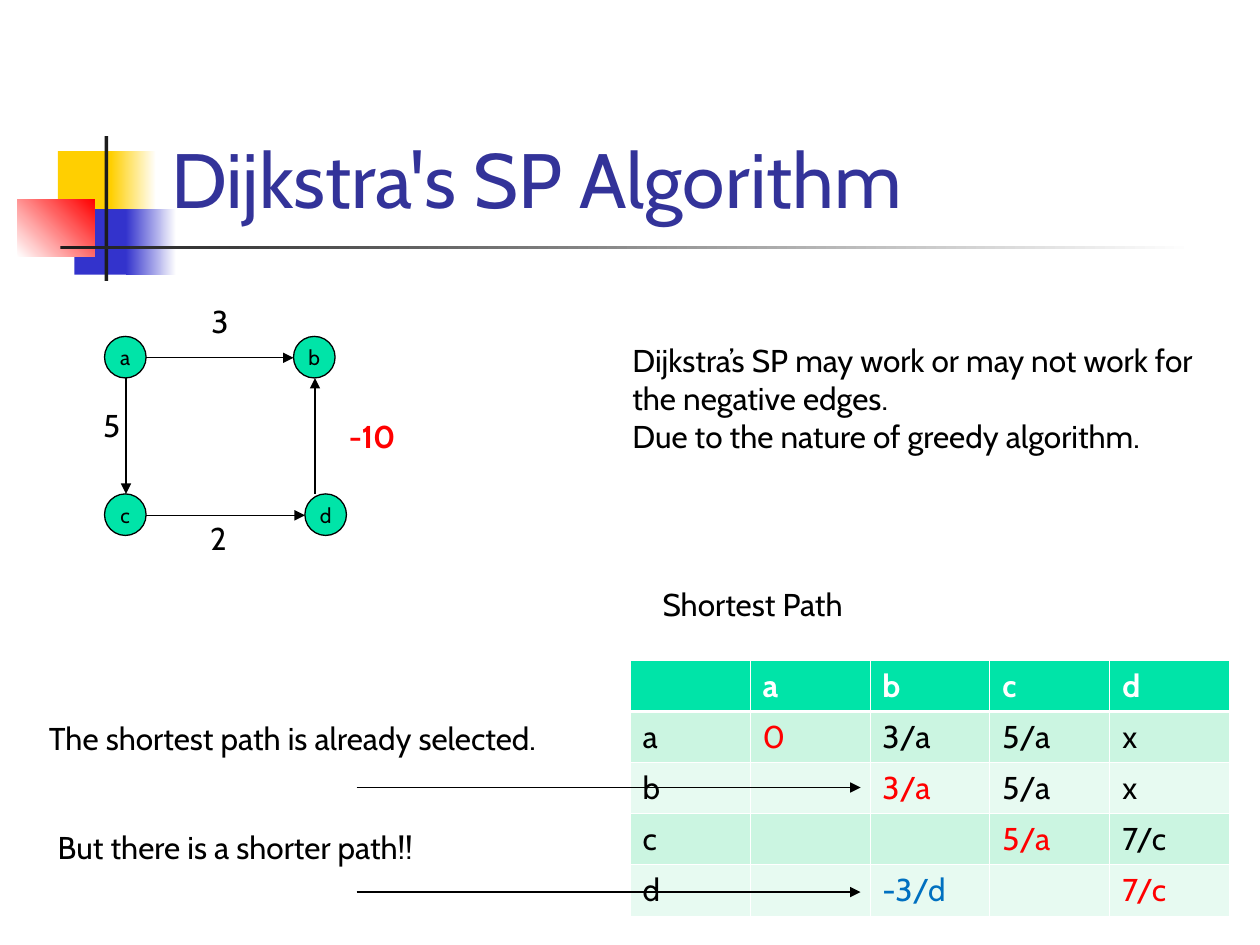
import pptx
import pptx.dml.color
import pptx.enum.shapes
import pptx.enum.text
import pptx.oxml
import pptx.oxml.ns
import pptx.util

Inches = pptx.util.Inches
Pt = pptx.util.Pt
RGBColor = pptx.dml.color.RGBColor
SHAPE = pptx.enum.shapes.MSO_SHAPE
ANCHOR = pptx.enum.text.MSO_ANCHOR
ALIGN = pptx.enum.text.PP_ALIGN

FONT = "Cabin"
BLACK = RGBColor(0x00, 0x00, 0x00)
WHITE = RGBColor(0xFF, 0xFF, 0xFF)
RED = RGBColor(0xFF, 0x00, 0x00)
BLUE = RGBColor(0x00, 0x70, 0xC0)
GREEN = RGBColor(0x00, 0xE4, 0xA8)
BAND_DARK = RGBColor(0xCB, 0xF5, 0xE1)
BAND_LIGHT = RGBColor(0xE7, 0xFA, 0xF1)
TITLE_BLUE = RGBColor(0x33, 0x33, 0x99)
SQUARE_BLUE = RGBColor(0x33, 0x33, 0xCC)
YELLOW = RGBColor(0xFF, 0xCF, 0x01)
CHARCOAL = RGBColor(0x1C, 0x1C, 0x1C)


def set_font(para, size, color, bold=False):
    para.font.name = FONT
    para.font.size = Pt(size)
    para.font.color.rgb = color
    para.font.bold = bold


def add_text(page, box, *lines, size=18, color=BLACK, bold=False, anchor=ANCHOR.TOP):
    frame = page.shapes.add_textbox(*map(Inches, box)).text_frame
    frame.word_wrap = True
    frame.vertical_anchor = anchor
    frame.text = "\n".join(lines)
    for para in frame.paragraphs:
        set_font(para, size, color, bold)


def add_arrow(page, start, end):
    line = page.shapes.add_connector(
        pptx.enum.shapes.MSO_CONNECTOR.STRAIGHT, *map(Inches, start + end))
    line.line.color.rgb = BLACK
    line.line.width = Pt(0.75)
    head = pptx.oxml.parse_xml(
        f'<a:tailEnd {pptx.oxml.ns.nsdecls("a")} type="triangle"/>')
    line.line._get_or_add_ln().append(head)
    line._element.spPr.append(
        pptx.oxml.parse_xml(f'<a:effectLst {pptx.oxml.ns.nsdecls("a")}/>'))


def add_block(page, box, color, end_color=None, angle=0):
    """A borderless rectangle, plain or fading to end_color."""
    block = page.shapes.add_shape(SHAPE.RECTANGLE, *map(Inches, box))
    block.shadow.inherit = False
    block.line.fill.background()
    if end_color is None:
        block.fill.solid()
        block.fill.fore_color.rgb = color
        return
    block.fill.gradient()
    block.fill.gradient_angle = angle
    for stop, stop_color in zip(block.fill.gradient_stops, (color, end_color)):
        stop.color.rgb = stop_color


def add_heading(page, left, top):
    # Overlapping squares, then the crossing bars
    add_block(page, (left + 0.32, top + 0.12, 0.48, 0.52), YELLOW)
    add_block(page, (left + 0.74, top + 0.12, 0.36, 0.52), YELLOW, WHITE)
    add_block(page, (left + 0.45, top + 0.58, 0.46, 0.52), SQUARE_BLUE)
    add_block(page, (left + 0.86, top + 0.58, 0.4, 0.52), SQUARE_BLUE, WHITE)
    add_block(page, (left, top + 0.5, 0.61, 0.46), WHITE, RED, angle=45)
    add_block(page, (left + 0.69, top, 0.03, 1.15), CHARCOAL)
    add_block(page, (left + 0.34, top + 0.87, 9, 0.03), CHARCOAL, WHITE)
    add_text(page, (left + 1.12, top - 0.85, 8.52, 1.6), "Dijkstra's SP Algorithm",
             size=44, color=TITLE_BLUE, anchor=ANCHOR.BOTTOM)


def add_node(page, label, left, top, size):
    node = page.shapes.add_shape(SHAPE.OVAL, *map(Inches, (left, top, size, size)))
    node.shadow.inherit = False
    node.fill.solid()
    node.fill.fore_color.rgb = GREEN
    node.line.color.rgb = BLACK
    node.line.width = Pt(0.75)
    frame = node.text_frame
    frame.word_wrap = False
    frame.vertical_anchor = ANCHOR.MIDDLE
    frame.text = label
    frame.paragraphs[0].alignment = ALIGN.CENTER
    set_font(frame.paragraphs[0], 12, BLACK)


def add_graph(page, left, top):
    size, radius = 0.33, 0.17
    right, low = left + 1.5, top + 1.25
    d_left = right + 0.09
    nodes = {"a": (left, top), "b": (right, top), "c": (left, low), "d": (d_left, low)}
    for label, corner in nodes.items():
        add_node(page, label, *corner, size)

    # Directed edges
    add_arrow(page, (left + size, top + radius), (right, top + radius))
    add_arrow(page, (left + radius, top + size), (left + radius, low))
    add_arrow(page, (left + size, low + radius), (d_left, low + radius))
    add_arrow(page, (right + radius, low), (right + radius, top + size))

    # Edge weights
    add_text(page, (left + 0.75, top - 0.32, 0.29, 0.4), "3")
    add_text(page, (left - 0.11, top + 0.5, 0.29, 0.4), "5")
    add_text(page, (left + 0.74, low + 0.15, 0.29, 0.4), "2")
    add_text(page, (right + 0.34, top + 0.59, 1.17, 0.4), "-10", color=RED, bold=True)


def set_borders(cell, widths):
    props = cell._tc.get_or_add_tcPr()
    for side, width in widths.items():
        props.append(pptx.oxml.parse_xml(
            f'<a:{side} {pptx.oxml.ns.nsdecls("a")} w="{Pt(width)}">'
            f'<a:solidFill><a:srgbClr val="{WHITE}"/></a:solidFill></a:{side}>'))


def add_path_table(page, left, top, width, height):
    rows = [
        ["", "a", "b", "c", "d"],
        ["a", "0", "3/a", "5/a", "x"],
        ["b", "", "3/a", "5/a", "x"],
        ["c", "", "", "5/a", "7/c"],
        ["d", "", "-3/d", "", "7/c"],
    ]
    accents = {(1, 1): RED, (2, 2): RED, (3, 3): RED, (4, 4): RED, (4, 2): BLUE}
    box = map(Inches, (left, top, width, height))
    table = page.shapes.add_table(len(rows), len(rows[0]), *box).table
    for r, row in enumerate(rows):
        for c, text in enumerate(row):
            cell = table.cell(r, c)
            set_borders(cell, {"lnL": 0.45, "lnR": 0.45,
                               "lnT": 1.47 if r == 1 else 0.45,
                               "lnB": 1.47 if r == 0 else 0.45})
            cell.fill.solid()
            band = BAND_DARK if r % 2 else BAND_LIGHT
            cell.fill.fore_color.rgb = band if r else GREEN
            cell.text = text
            color = accents.get((r, c), BLACK) if r else WHITE
            set_font(cell.text_frame.paragraphs[0], 18, color, bold=r == 0)


def add_remarks(page, left, top):
    add_text(page, (left, top, 4.56, 0.4), "The shortest path is already selected.")
    add_text(page, (left + 0.07, top + 0.86, 3.42, 0.4), "But there is a shorter path!!")
    for y in (top + 0.59, top + 1.42):
        add_arrow(page, (left + 2.54, y), (left + 6.54, y))


def main():
    deck = pptx.Presentation()
    deck.slide_width, deck.slide_height = Inches(10), Inches(7.5)
    page = deck.slides.add_slide(deck.slide_layouts[6])
    add_heading(page, 0.14, 1.08)
    add_path_table(page, 5, 5.24, 4.76, 2.03)
    add_text(page, (5.16, 4.59, 1.79, 0.4), "Shortest Path")
    add_graph(page, 0.83, 2.67)
    add_text(page, (4.92, 2.66, 4.75, 1.3),
             "Dijkstra’s SP may work or may not work for the negative edges.",
             "Due to the nature of greedy algorithm.")
    add_remarks(page, 0.29, 5.66)
    deck.save("out.pptx")


if __name__ == "__main__":
    main()
